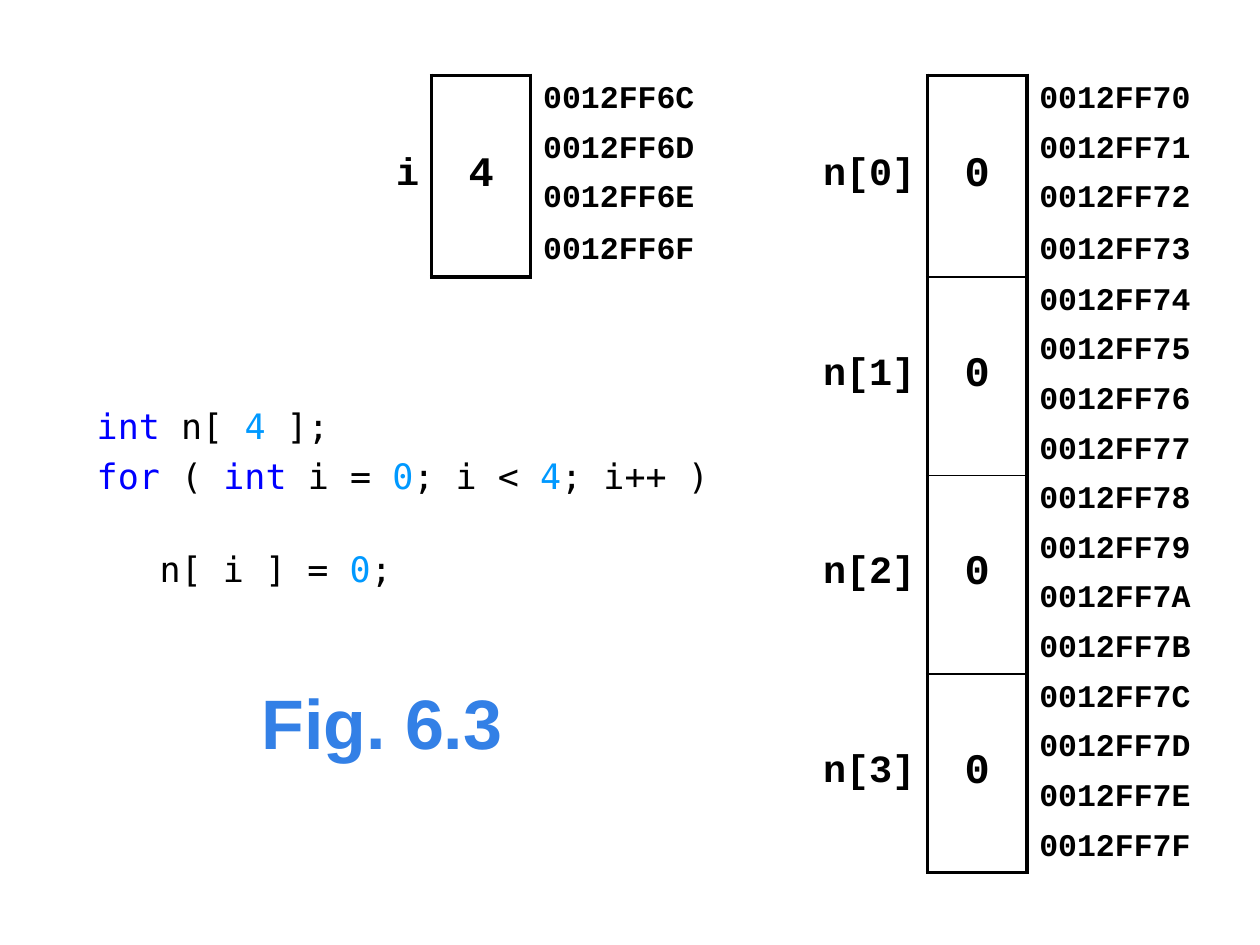
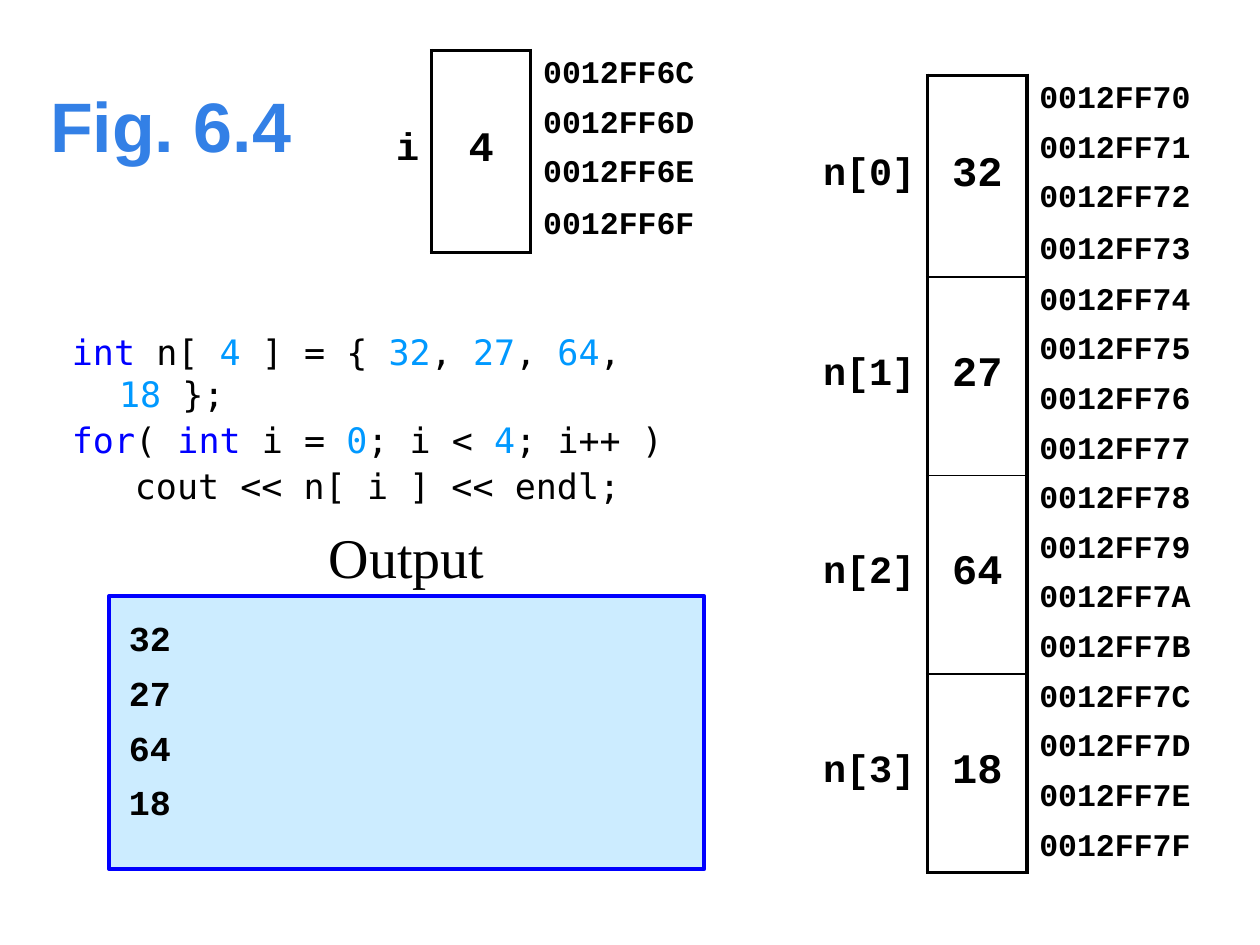
import itertools

import pptx
import pptx.dml.color
import pptx.enum.shapes
import pptx.enum.text
import pptx.oxml
import pptx.oxml.ns
import pptx.util

Cm, Pt = pptx.util.Cm, pptx.util.Pt
ALIGN = pptx.enum.text.PP_ALIGN
ANCHOR = pptx.enum.text.MSO_ANCHOR
qn = pptx.oxml.ns.qn

COLORS = {
    "ink": "000000",
    "title": "3380E6",
    "keyword": "0000FF",
    "number": "0099FF",
    "output": "CCECFF",
}
FONTS = {
    "title": {"name": "Arial", "size": Pt(40), "bold": True},
    "code": {"name": "DejaVu Sans Mono", "size": Pt(20), "bold": False},
    "name": {"name": "Courier New", "size": Pt(22), "bold": True},
    "value": {"name": "Courier New", "size": Pt(24), "bold": True},
    "address": {"name": "Courier New", "size": Pt(18), "bold": True},
    "output": {"name": "Courier New", "size": Pt(20), "bold": True},
    "caption": {"name": "Times New Roman", "size": Pt(32), "bold": False},
}
MERGED_CELL = {"margin_left": Cm(0.25), "margin_right": Cm(0.25),
               "margin_top": 0, "margin_bottom": Cm(0.05),
               "vertical_anchor": ANCHOR.MIDDLE}
ADDRESS_CELL = {**MERGED_CELL, "margin_top": Cm(0.1), "margin_bottom": Cm(0.1)}
NO_STYLE = "{2D5ABB26-0587-4C30-8999-92F81FD0307C}"
INT_BYTES = 4
CODE_HANG = Cm(0.95)
CODE_INDENT = Cm(1.27)

SLIDES = [
    {
        "title": "Fig. 6.3",
        "title_box": (2.7, 13.54, 10, 2),
        "code_box": (1.7, 8.03, 13, 3.5),
        # text, whether it is the loop body, space before in points
        "code": [("int n[ 4 ];", False, 0),
                 ("for ( int i = 0; i < 4; i++ )", False, 4.7),
                 ("n[ i ] = 0;", True, 29)],
        "values": [0, 0, 0, 0],
        "counter_top": 1.52,
        "output": False,
    },
    {
        "title": "Fig. 6.4",
        "title_box": (0.69, 1.52, 5.5, 2),
        "code_box": (1.2, 6.53, 14, 3.5),
        "code": [("int n[ 4 ] = { 32, 27, 64, 18\u00a0};", False, 0),
                 ("for( int i = 0; i < 4; i++ )", False, 2.3),
                 ("cout << n[ i ] << endl;", True, 2.3)],
        "values": [32, 27, 64, 18],
        "counter_top": 1.02,
        "output": True,
    },
]


def write(paragraph, text, style, color="ink", **layout):
    """Add a run in a named style and set the paragraph's layout."""
    run = paragraph.add_run()
    run.text = text
    for key, value in FONTS[style].items():
        setattr(run.font, key, value)
    run.font.color.rgb = pptx.dml.color.RGBColor.from_string(COLORS[color])
    for key, value in layout.items():
        setattr(paragraph, key, value)


def add_memory(slide, left, top, name_width, variables, first_address):
    """Draw integers as a table of names, values and byte addresses."""
    row_count = len(variables) * INT_BYTES
    widths = [name_width, 2, 4]
    table = slide.shapes.add_table(row_count, 3, Cm(left), Cm(top),
                                   Cm(sum(widths)), Cm(row_count)).table
    table.first_row = table.horz_banding = False
    table._tbl.tblPr.find(qn("a:tableStyleId")).text = NO_STYLE
    for column, width in zip(table.columns, widths):
        column.width = Cm(width)
    for row in table.rows:
        row.height = Cm(1)

    for index, (name, value) in enumerate(variables):
        first, last = index * INT_BYTES, (index + 1) * INT_BYTES - 1
        for column in (0, 1):
            table.cell(first, column).merge(table.cell(last, column))
        write(table.cell(first, 0).text_frame.paragraphs[0], name, "name",
              alignment=ALIGN.RIGHT)
        write(table.cell(first, 1).text_frame.paragraphs[0], str(value), "value",
              alignment=ALIGN.CENTER)
        borders = {"L": 2.25, "R": 2.25,
                   "T": 2.25 if index == 0 else 1,
                   "B": 2.25 if index == len(variables) - 1 else 1}
        properties = table.cell(first, 1)._tc.get_or_add_tcPr()
        for side, width in borders.items():
            properties.append(pptx.oxml.parse_xml(
                f'<a:ln{side} xmlns:a="http://schemas.openxmlformats.org/drawingml/2006/main"'
                f' w="{Pt(width)}"><a:solidFill><a:srgbClr val="{COLORS["ink"]}"/>'
                f'</a:solidFill></a:ln{side}>'))

    for row in range(row_count):
        write(table.cell(row, 2).text_frame.paragraphs[0],
              f"{first_address + row:08X}", "address")
        for column, cell_format in enumerate((MERGED_CELL, MERGED_CELL, ADDRESS_CELL)):
            cell = table.cell(row, column)
            cell.fill.background()
            for key, value in cell_format.items():
                setattr(cell, key, value)


deck = pptx.Presentation()
deck.slide_width, deck.slide_height = Cm(25.4), Cm(19.05)

for content in SLIDES:
    slide = deck.slides.add_slide(deck.slide_layouts[5])

    title = slide.shapes.title
    for key, value in zip(("left", "top", "width", "height"), content["title_box"]):
        setattr(title, key, Cm(value))
    title.text_frame.vertical_anchor = ANCHOR.MIDDLE
    write(title.text_frame.paragraphs[0], content["title"], "title", "title",
          alignment=ALIGN.CENTER)

    # Keywords and numbers in the code are coloured by what they are
    code = slide.shapes.add_textbox(*map(Cm, content["code_box"])).text_frame
    code.word_wrap = True
    for index, (line, is_body, space) in enumerate(content["code"]):
        paragraph = code.add_paragraph() if index else code.paragraphs[0]
        paragraph.space_before = Pt(space)
        indent = paragraph._p.get_or_add_pPr()
        indent.set("marL", str(CODE_INDENT if is_body else CODE_HANG))
        indent.set("indent", str(0 if is_body else -CODE_HANG))
        tokens = []
        for kind, letters in itertools.groupby(line, lambda c: (c.isalpha(), c.isdigit())):
            token = "".join(letters)
            color = "keyword" if token in ("int", "for") else "number" if kind[1] else "ink"
            tokens.append((color, token))
        for color, group in itertools.groupby(tokens, lambda pair: pair[0]):
            write(paragraph, "".join(token for _, token in group), "code", color)

    array = [(f"n[{index}]", value) for index, value in enumerate(content["values"])]
    add_memory(slide, 16.2, 1.52, 2.5, array, 0x0012FF70)
    add_memory(slide, 7.7, content["counter_top"], 1, [("i", 4)], 0x0012FF6C)

    if content["output"]:
        screen = slide.shapes.add_shape(pptx.enum.shapes.MSO_SHAPE.RECTANGLE,
                                        Cm(2.2), Cm(12.02), Cm(12), Cm(5.5))
        screen.shadow.inherit = False
        screen.fill.solid()
        screen.fill.fore_color.rgb = pptx.dml.color.RGBColor.from_string(COLORS["output"])
        screen.line.color.rgb = pptx.dml.color.RGBColor.from_string(COLORS["keyword"])
        screen.line.width = Pt(2.25)
        printed = screen.text_frame
        for key, value in {"margin_left": Cm(0.4), "margin_top": Cm(0.4),
                           "vertical_anchor": ANCHOR.TOP, "word_wrap": True}.items():
            setattr(printed, key, value)
        for index, value in enumerate(content["values"]):
            paragraph = printed.add_paragraph() if index else printed.paragraphs[0]
            write(paragraph, str(value), "output", alignment=ALIGN.LEFT,
                  space_before=Pt(7.4))

        caption = slide.shapes.add_textbox(Cm(6.2), Cm(10.52), Cm(4), Cm(1.5)).text_frame
        caption.word_wrap = False
        caption.vertical_anchor = ANCHOR.BOTTOM
        write(caption.paragraphs[0], "Output", "caption", alignment=ALIGN.CENTER)

deck.save("out.pptx")
